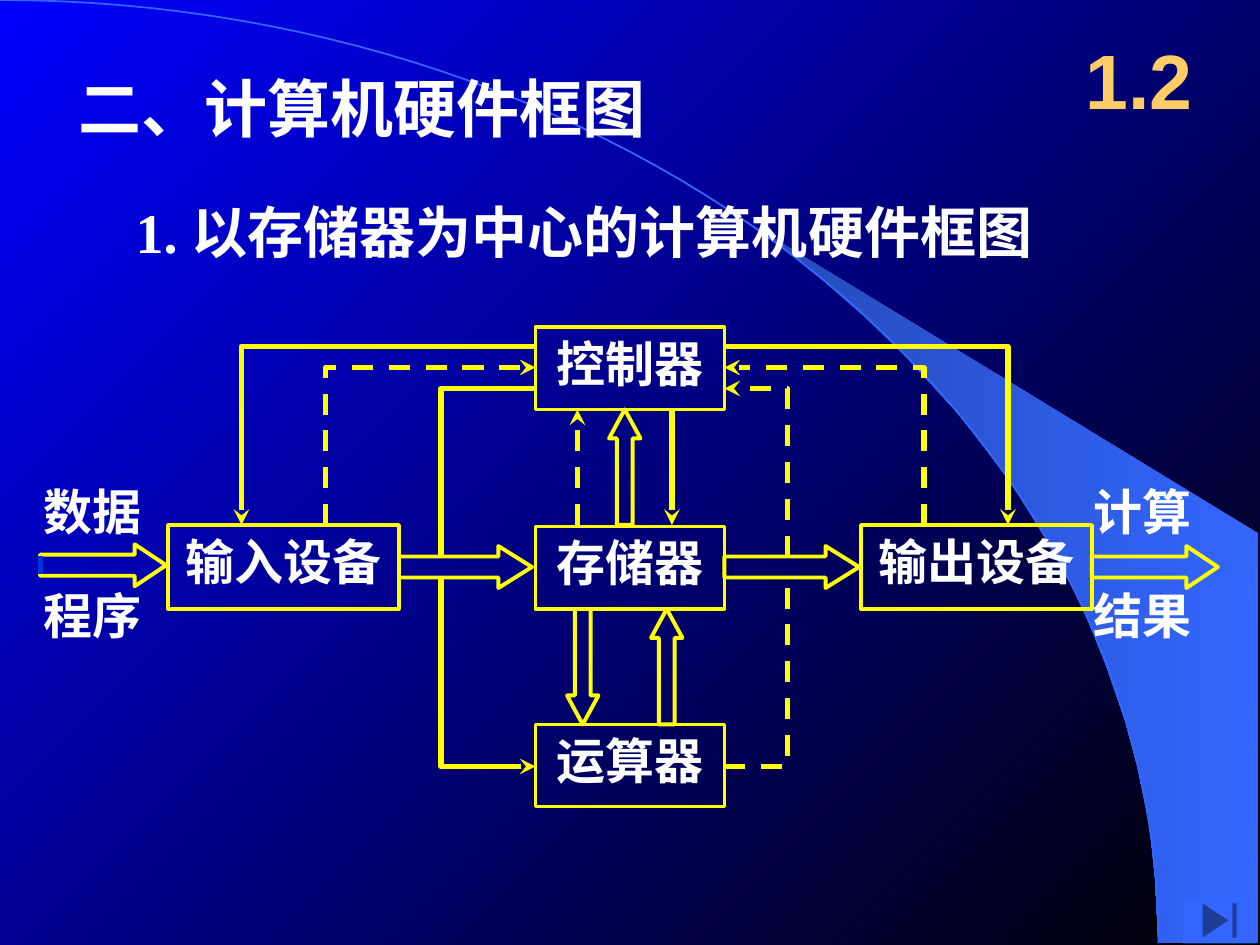
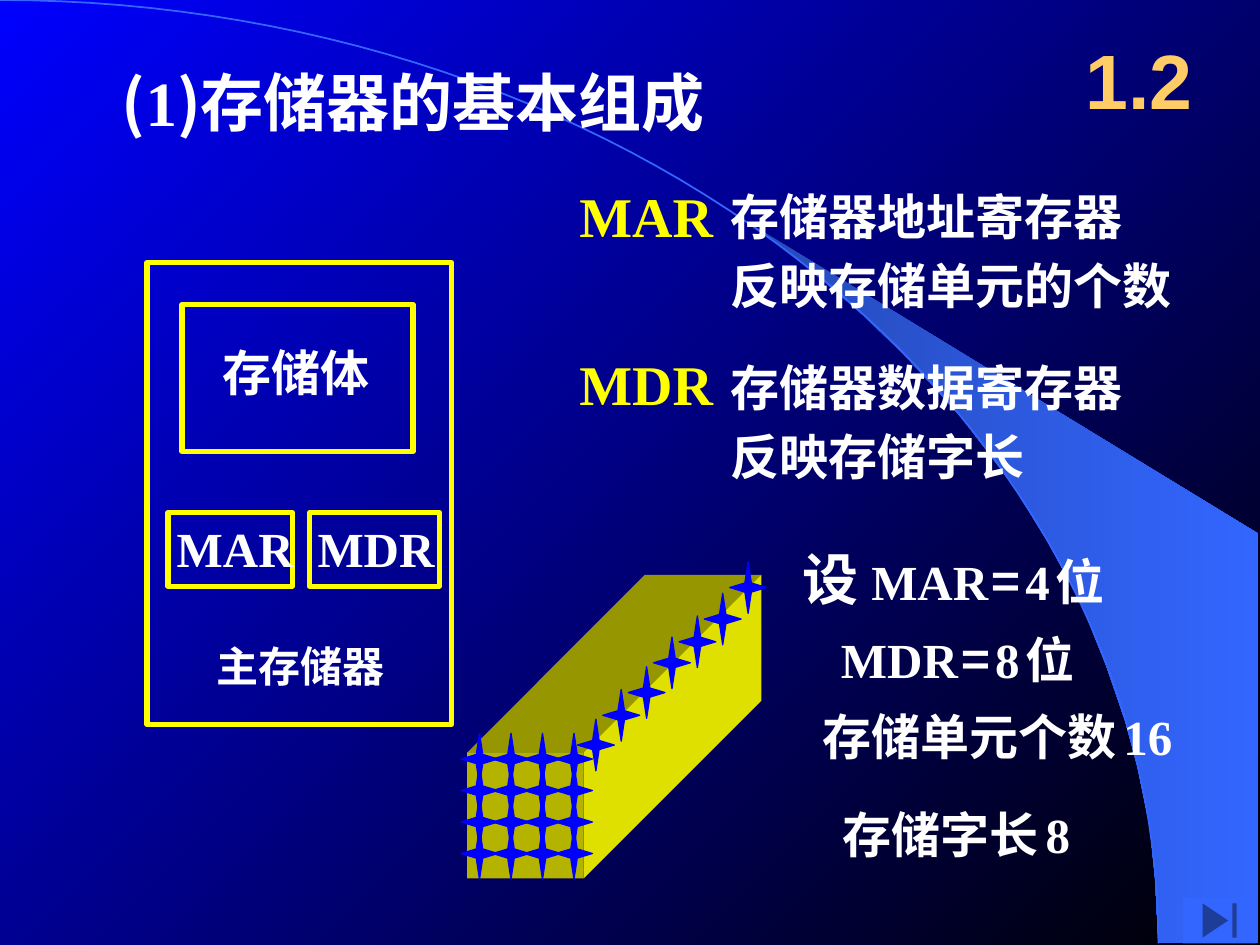
from dataclasses import dataclass
from itertools import product
from math import cos, pi, sin

from lxml.etree import SubElement
from pptx import Presentation
from pptx.dml.color import RGBColor
from pptx.enum.dml import MSO_LINE
from pptx.enum.shapes import MSO_CONNECTOR, MSO_SHAPE
from pptx.enum.text import MSO_ANCHOR, PP_ALIGN
from pptx.oxml.ns import qn
from pptx.util import Pt


@dataclass(frozen=True)
class Theme:
    """Colours, fonts and type sizes of the deck."""

    blue: RGBColor = RGBColor(0x00, 0x00, 0xFF)
    black: RGBColor = RGBColor(0x00, 0x00, 0x00)
    white: RGBColor = RGBColor(0xFF, 0xFF, 0xFF)
    yellow: RGBColor = RGBColor(0xFF, 0xFF, 0x00)
    gold: RGBColor = RGBColor(0xFF, 0xCC, 0x66)
    sky: RGBColor = RGBColor(0x33, 0x66, 0xFF)
    dusk: RGBColor = RGBColor(0x24, 0x49, 0xB6)
    inlet: RGBColor = RGBColor(0x00, 0x33, 0xD8)
    block_front: RGBColor = RGBColor(0xB3, 0xB3, 0x00)
    block_top: RGBColor = RGBColor(0x96, 0x96, 0x00)
    block_side: RGBColor = RGBColor(0xE0, 0xE0, 0x00)
    cjk: str = "Noto Sans CJK SC"
    serif: str = "Times New Roman"
    sans: str = "Arial"
    section: int = 44
    title: int = 36
    heading: int = 32
    body: int = 28
    caption: int = 24


THEME = Theme()
WING = [
    (662, 539), (719, 539), (719, 305), (424, 125), (449, 143), (470, 160),
    (493, 180), (516, 202), (549, 238), (578, 276), (599, 310), (618, 345),
    (632, 380), (643, 412), (650, 438), (657, 472), (660, 501),
]


def style_line(shape, color, width, dashed=False, arrow=False):
    """Set the line of a shape, with an optional dash and arrowhead."""
    shape.line.color.rgb = color
    shape.line.width = Pt(width)
    if dashed:
        shape.line.dash_style = MSO_LINE.DASH
    if arrow:
        line = shape.element.spPr.find(qn("a:ln"))
        SubElement(line, qn("a:tailEnd"), type="stealth")


def style_gradient(fill, start, end, angle):
    """Give a fill a gradient between two colours."""
    fill.gradient()
    fill.gradient_angle = angle
    for stop, color in zip(fill.gradient_stops, (start, end)):
        stop.color.rgb = color


def write_paragraph(frame, spans, index, size=THEME.body, font=THEME.cjk,
                    color=THEME.white, align=PP_ALIGN.LEFT, before=None, indent=0):
    """Write spans, each a text or a (text, size, font) tuple, as one paragraph."""
    paragraph = frame.paragraphs[0] if index == 0 else frame.add_paragraph()
    paragraph.alignment = align
    if index:
        paragraph.space_before = Pt(0.2 * size if before is None else before)
    if index and indent:
        paragraph._p.get_or_add_pPr().set("marL", str(Pt(indent)))
    for span in spans:
        text, span_size, span_font = (span, size, font) if isinstance(span, str) else span
        run = paragraph.add_run()
        run.text = text
        run.font.size = Pt(span_size)
        run.font.bold = True
        run.font.color.rgb = color
        run.font.name = span_font
        SubElement(run.font._element, qn("a:ea"), typeface=THEME.cjk)


def add_text(page, left, top, width, height, *paragraphs, wrap=True,
             inset=(7.2, 3.6), anchor=MSO_ANCHOR.TOP, **style):
    """Add a text box; each paragraph is a text or a list of spans."""
    box = page.shapes.add_textbox(Pt(left), Pt(top), Pt(width), Pt(height))
    frame = box.text_frame
    frame.word_wrap = wrap
    frame.vertical_anchor = anchor
    frame.margin_left = frame.margin_right = Pt(inset[0])
    frame.margin_top = frame.margin_bottom = Pt(inset[1])
    for index, paragraph in enumerate(paragraphs):
        spans = [paragraph] if isinstance(paragraph, str) else paragraph
        write_paragraph(frame, spans, index, **style)


def add_figure(page, kind, left, top, width, height, fill=None, line=None,
               weight=2.25, adjust=(), label=None):
    """Add a preset shape, with an optional centred label."""
    figure = page.shapes.add_shape(kind, Pt(left), Pt(top), Pt(width), Pt(height))
    figure.shadow.inherit = False
    for index, value in enumerate(adjust):
        figure.adjustments[index] = value
    if fill is None:
        figure.fill.background()
    else:
        figure.fill.solid()
        figure.fill.fore_color.rgb = fill
    if line is None:
        figure.line.fill.background()
    else:
        style_line(figure, line, weight)
    if label:
        figure.text_frame.vertical_anchor = MSO_ANCHOR.TOP
        write_paragraph(figure.text_frame, [label], 0, align=PP_ALIGN.CENTER)


def add_outline(page, points, closed=False):
    """Add an unfilled outline through the given points."""
    (left, top), *rest = [(Pt(x), Pt(y)) for x, y in points]
    builder = page.shapes.build_freeform(left, top)
    builder.add_line_segments(rest, close=closed)
    outline = builder.convert_to_shape()
    outline.shadow.inherit = False
    outline.fill.background()
    return outline


def add_face(page, points, color):
    """Add a filled polygon without a line."""
    face = add_outline(page, points, closed=True)
    face.fill.solid()
    face.fill.fore_color.rgb = color
    face.line.fill.background()


def add_signal(page, *points, color=THEME.yellow, dashed=False, arrow=True):
    """Add a signal line: straight for two points, bent for more."""
    if len(points) > 2:
        signal = add_outline(page, points)
        style_line(signal, color, 3, dashed, arrow)
        return
    ends = [Pt(value) for point in points for value in point]
    signal = page.shapes.add_connector(MSO_CONNECTOR.STRAIGHT, *ends)
    style_line(signal, color, 3, dashed, arrow)
    SubElement(signal.element.spPr, qn("a:effectLst"))


def add_page(deck):
    """Add a page with the shared background, arc, section number and button."""
    page = deck.slides.add_slide(deck.slide_layouts[6])
    style_gradient(page.background.fill, THEME.blue, THEME.black, 315)
    wing = add_outline(page, WING, closed=True)
    style_gradient(wing.fill, THEME.dusk, THEME.sky, 0)
    wing.line.fill.background()
    steps = 60
    angles = [pi / 2 * step / steps for step in range(steps + 1)]
    arc = add_outline(page, [(662 * sin(a), 539 * (1 - cos(a))) for a in angles])
    style_line(arc, THEME.sky, 1)
    add_text(page, 606, 12, 90, 66, "1.2", size=THEME.section, font=THEME.sans,
             color=THEME.gold, align=PP_ALIGN.CENTER, anchor=MSO_ANCHOR.MIDDLE)
    add_figure(page, MSO_SHAPE.ACTION_BUTTON_END, 676, 513, 42, 26, fill=THEME.sky)
    return page


def build_hardware_page(deck):
    """Build the block diagram with the memory at its centre."""
    page = add_page(deck)
    add_text(page, 38, 36, 508, 50, "二、计算机硬件框图", size=THEME.title)
    add_text(page, 70.5, 109.5, 528.5, 45, "1. 以存储器为中心的计算机硬件框图",
             size=THEME.heading, font=THEME.serif)

    units = [("控制器", 306, 187, 108, 47), ("存储器", 306, 301, 108, 47),
             ("运算器", 306, 414, 108, 47), ("输入设备", 96, 300, 132, 48),
             ("输出设备", 492, 300, 132, 48)]
    for name, *place in units:
        add_figure(page, MSO_SHAPE.RECTANGLE, *place, line=THEME.yellow,
                   weight=2, label=name)

    for left, top, width, head in [(23, 311, 72, 0.75), (228, 312, 76, 0.8),
                                   (414, 312, 77, 0.8), (624, 312, 72, 0.75)]:
        add_figure(page, MSO_SHAPE.RIGHT_ARROW, left, top, width, 24,
                   line=THEME.yellow, adjust=(0.5, head))
    for kind, left, top in [(MSO_SHAPE.UP_ARROW, 348, 234),
                            (MSO_SHAPE.UP_ARROW, 372, 348),
                            (MSO_SHAPE.DOWN_ARROW, 324, 348)]:
        add_figure(page, kind, left, top, 18, 66, line=THEME.yellow, adjust=(0.5, 0.92))

    add_signal(page, (252, 318), (252, 222), (306, 222), arrow=False)
    add_signal(page, (252, 330), (252, 438), (306, 438))
    add_signal(page, (306, 198), (138, 198), (138, 300))
    add_signal(page, (414, 198), (576, 198), (576, 300))
    add_signal(page, (384, 234), (384, 300))
    add_signal(page, (414, 438), (450, 438), (450, 330), dashed=True, arrow=False)
    add_signal(page, (450, 318), (450, 222), (414, 222), dashed=True)
    add_signal(page, (186, 300), (186, 210), (306, 210), dashed=True)
    add_signal(page, (528, 300), (528, 210), (414, 210), dashed=True)
    add_signal(page, (330, 300), (330, 234), dashed=True)
    add_signal(page, (23, 318), (23, 328), color=THEME.inlet, arrow=False)

    for text, left, top in [("数据", 18, 271.5), ("程序", 18, 331),
                            ("计算", 618, 271.5), ("结果", 618, 331)]:
        add_text(page, left, top, 70.5, 41, text, wrap=False)


def add_memory_block(page):
    """Add the solid block of storage cells with its star markers."""
    left, right, top, bottom, depth = 267, 333.5, 430, 502, 101.5
    back_right, back_top = right + depth, top - depth
    add_face(page, [(left, top), (left + depth, back_top),
                    (back_right, back_top), (right, top)], THEME.block_top)
    add_face(page, [(right, top), (back_right, back_top),
                    (back_right, bottom - depth), (right, bottom)], THEME.block_side)
    add_figure(page, MSO_SHAPE.RECTANGLE, left, top, right - left, bottom - top,
               fill=THEME.block_front)
    cells = [(263.5 + 18 * column, 419 + 18 * row)
             for row, column in product(range(4), repeat=2)]
    edge_tops = (411, 394, 381, 364, 352, 339, 321)
    cells += [(330 + 14.5 * step, y) for step, y in enumerate(edge_tops)]
    for x, y in cells:
        add_figure(page, MSO_SHAPE.STAR_4_POINT, x, y, 21, 29.5, fill=THEME.blue,
                   line=THEME.blue, weight=0.75, adjust=(0.125,))


def register_size(name, bits):
    """Return the spans that state the width of a register."""
    return [(name, THEME.body, THEME.serif), (" ", 9, THEME.cjk), "=",
            (" ", 12, THEME.cjk), (bits, THEME.body, THEME.serif),
            (" ", 14, THEME.serif), "位"]


def build_memory_page(deck):
    """Build the page on the basic parts of the memory."""
    page = add_page(deck)
    add_text(page, 62.5, 32.5, 461.5, 50,
             ["(", ("1", THEME.title, THEME.serif), ")存储器的基本组成"],
             size=THEME.title)

    registers = [("MAR", 100, 103, "存储器地址寄存器", "反映存储单元的个数"),
                 ("MDR", 196, 201, "存储器数据寄存器", "反映存储字长")]
    for name, name_top, text_top, meaning, role in registers:
        add_text(page, 324, name_top, 109, 45, name, size=THEME.heading,
                 font=THEME.serif, color=THEME.yellow)
        add_text(page, 410.5, text_top, 268, 81, meaning, role, wrap=False)

    for place in [(84, 150, 174, 264), (104, 174, 132, 84),
                  (96, 293, 71, 42), (177, 293, 74, 42)]:
        add_figure(page, MSO_SHAPE.RECTANGLE, *place, line=THEME.yellow, weight=3)
    add_text(page, 120, 192, 99, 41, "存储体", wrap=False)
    add_text(page, 124, 366, 96.5, 29, "主存储器", size=THEME.caption,
             wrap=False, inset=(0, 0))
    for name, left in [("MAR", 101), ("MDR", 181.5)]:
        add_text(page, left, 292.5, 67, 41, name, font=THEME.serif,
                 wrap=False, inset=(0, 3.6))

    add_memory_block(page)
    add_text(page, 451.5, 307.5, 268, 91,
             [("设 ", THEME.heading, THEME.cjk), *register_size("MAR", "4")],
             register_size("MDR", "8"), before=10, indent=22)
    for text, count, left, top in [("存储单元个数", "16", 463, 400),
                                   ("存储字长", "8", 474.5, 456)]:
        add_text(page, left, top, 245, 41,
                 [text, (" ", 18, THEME.cjk), (count, THEME.body, THEME.serif)])


def main():
    """Build and save the deck."""
    deck = Presentation()
    deck.slide_width, deck.slide_height = Pt(720), Pt(540)
    build_hardware_page(deck)
    build_memory_page(deck)
    deck.save("out.pptx")


if __name__ == "__main__":
    main()
